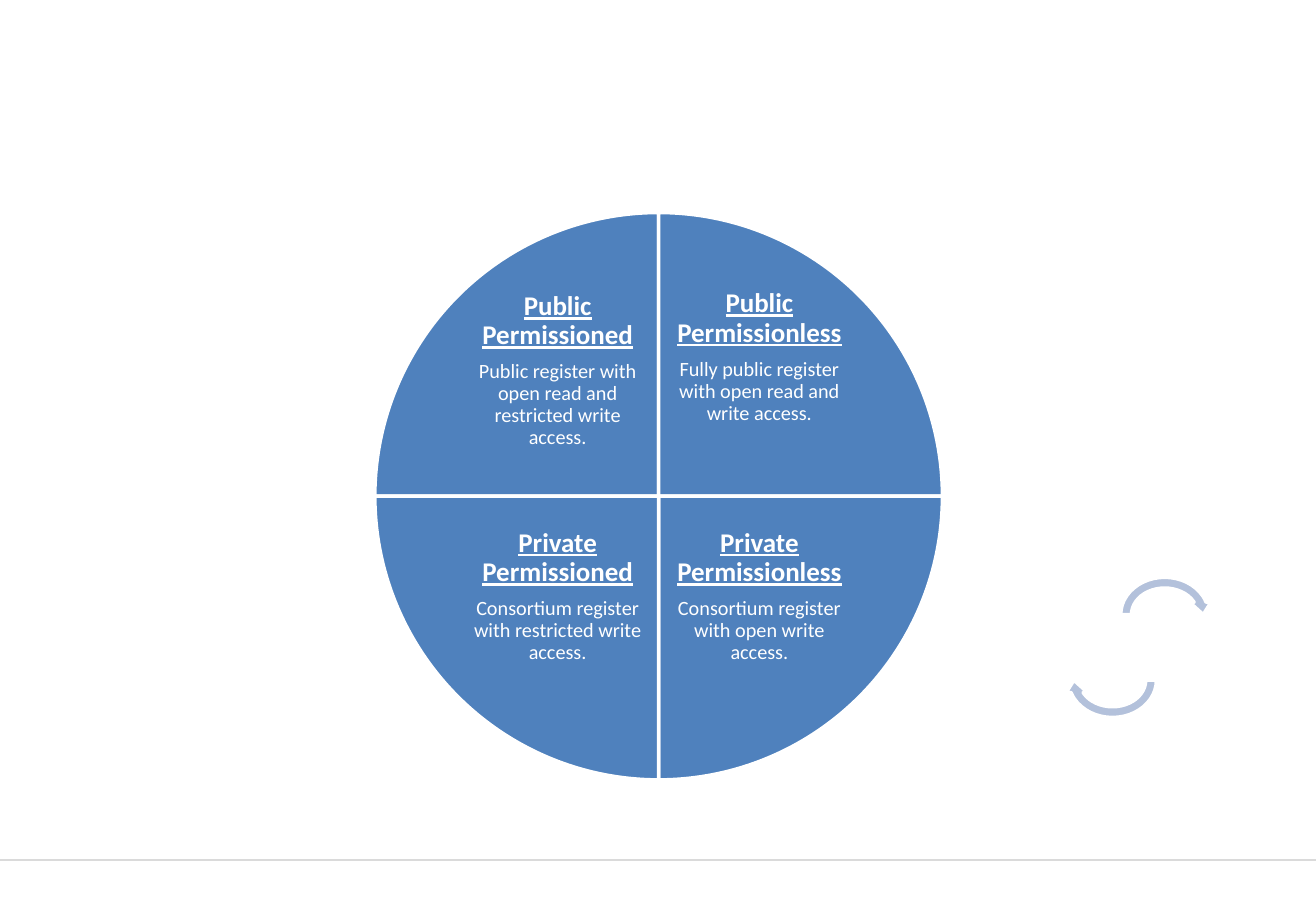
from lxml import etree
from pptx import Presentation
from pptx.dml.color import RGBColor
from pptx.enum.shapes import MSO_CONNECTOR, MSO_SHAPE
from pptx.enum.text import MSO_ANCHOR, PP_ALIGN
from pptx.oxml.ns import qn
from pptx.util import Inches, Pt

WHITE = RGBColor(0xFF, 0xFF, 0xFF)
BLUE = RGBColor(0x4F, 0x81, 0xBD)
PALE_BLUE = RGBColor(0xB3, 0xC1, 0xDB)
GREY = RGBColor(0xDA, 0xDA, 0xDA)

CENTER_X, CENTER_Y = 5.42, 4.085
RADIUS = 2.335
LABEL_SIZE = 1.66

HEADING = {"size": Pt(16), "bold": True, "underline": True}
BODY = {"size": Pt(12), "bold": False, "underline": False}

# Column, row, rotation, label top, heading, description
QUADRANTS = [
    (0, 0, 0, 2.22, "Public Permissioned",
     "Public register with open read and restricted write access."),
    (1, 0, 90, 2.11, "Public Permissionless",
     "Fully public register with open read and write access."),
    (1, 1, 180, 4.08, "Private Permissionless",
     "Consortium register with open write access."),
    (0, 1, 270, 4.08, "Private Permissioned",
     "Consortium register with restricted write access."),
]

presentation = Presentation()
presentation.slide_width = Inches(10.83)
presentation.slide_height = Inches(7.5)
slide = presentation.slides.add_slide(presentation.slide_layouts[6])


def add_outlined_shape(kind, left, top, width, height, color, rotation):
    shape = slide.shapes.add_shape(
        kind, Inches(left), Inches(top), Inches(width), Inches(height))
    shape.rotation = rotation
    shape.shadow.inherit = False
    shape.fill.solid()
    shape.fill.fore_color.rgb = color
    shape.line.color.rgb = WHITE
    shape.line.width = Pt(2)


# Footer rule
footer_rule = slide.shapes.add_connector(
    MSO_CONNECTOR.STRAIGHT, 0, Inches(7.08), Inches(10.83), Inches(7.08))
footer_rule.line.color.rgb = GREY
footer_rule.line.width = Pt(0.96)
etree.SubElement(footer_rule._element.spPr, qn("a:effectLst"))

# Circle quadrants with their labels
for column, row, rotation, label_top, heading, description in QUADRANTS:
    add_outlined_shape(
        MSO_SHAPE.PIE_WEDGE, CENTER_X - RADIUS * (1 - column),
        CENTER_Y - RADIUS * (1 - row), RADIUS, RADIUS, BLUE, rotation)

    label = slide.shapes.add_textbox(
        Inches(CENTER_X - LABEL_SIZE * (1 - column)), Inches(label_top),
        Inches(LABEL_SIZE), Inches(LABEL_SIZE))
    frame = label.text_frame
    frame.word_wrap = True
    frame.vertical_anchor = MSO_ANCHOR.MIDDLE
    for side in ("left", "top", "right", "bottom"):
        setattr(frame, f"margin_{side}", Inches(0.12))

    frame.text = f"{heading}\n{description}"
    for paragraph, font_format in zip(frame.paragraphs, (HEADING, BODY)):
        paragraph.alignment = PP_ALIGN.CENTER
        paragraph.line_spacing = 0.9
        font = paragraph.runs[0].font
        font.name = "Calibri"
        font.color.rgb = WHITE
        for name, value in font_format.items():
            setattr(font, name, value)
    frame.paragraphs[0].space_after = Pt(6.5)

# Cycle arrows
for left, top, rotation in ((9.18, 4.71, 0), (8.75, 5.25, 180)):
    add_outlined_shape(
        MSO_SHAPE.CIRCULAR_ARROW, left, top, 0.81, 0.7, PALE_BLUE, rotation)

presentation.save("out.pptx")
